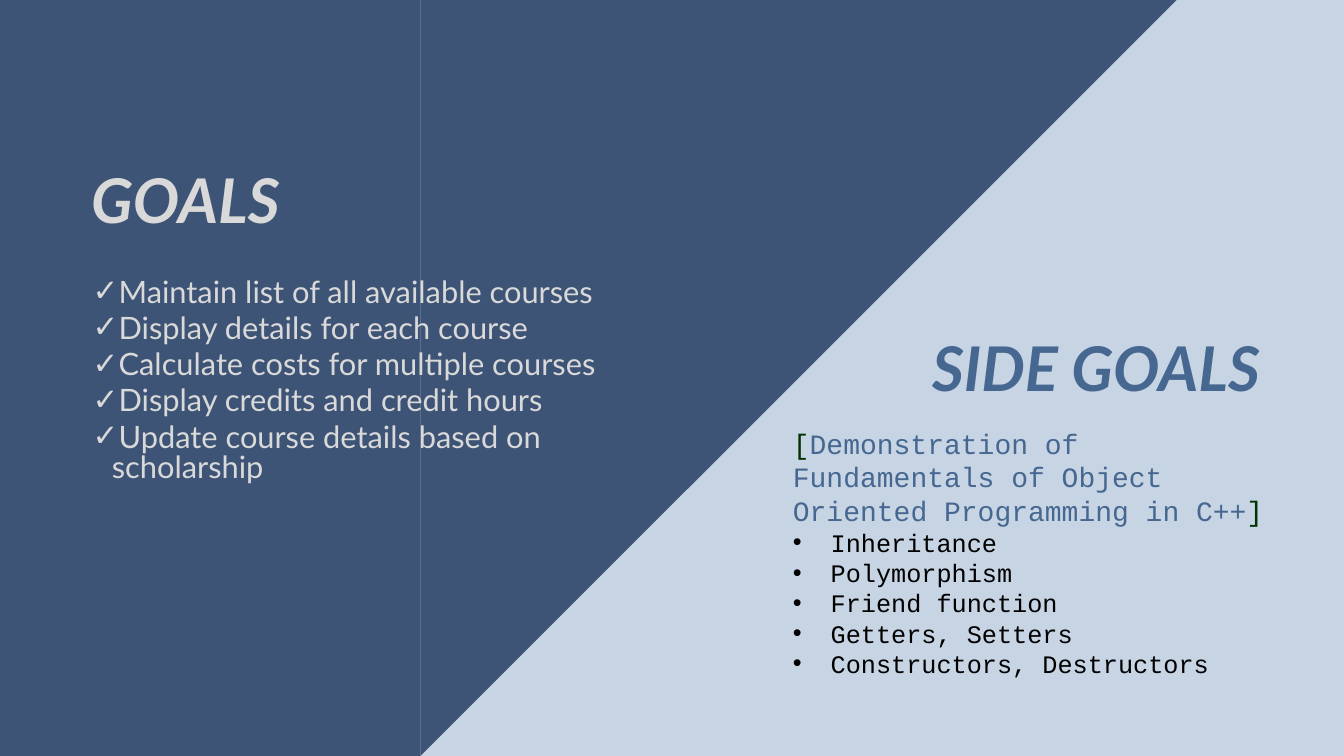
"""Build the goals and side goals slide."""
from dataclasses import dataclass

from lxml import etree
from pptx import Presentation, util as u
from pptx.dml.color import RGBColor
from pptx.enum import shapes, text
from pptx.oxml.ns import qn

PX = u.Inches(1) // 100
WIDTH, HEIGHT, SPLIT = 2666, 1500, 834


@dataclass(frozen=True)
class Theme:
    """Colours, fonts and type sizes."""
    pale: str = "C7D4E4"
    navy: str = "3D5476"
    blue: str = "456790"
    light: str = "D9D9D9"
    green: str = "003300"
    black: str = "000000"
    sans: str = "Lato"
    mono: str = "Courier New"
    title: int = 88
    goal: int = 44
    intro: int = 40
    topic: int = 36


THEME = Theme()
GOALS = (
    "Maintain list of all available courses",
    "Display details for each course",
    "Calculate costs for multiple courses",
    "Display credits and credit hours",
    "Update course details based on scholarship",
)
INTRO = (
    ("[", THEME.green),
    ("Demonstration of Fundamentals of Object Oriented Programming in C++", THEME.blue),
    ("]", THEME.green),
)
TOPICS = (
    "Inheritance",
    "Polymorphism",
    "Friend function",
    "Getters, Setters",
    "Constructors, Destructors",
)


def px(*lengths):
    """Turn px lengths into EMU."""
    return [u.Emu(n * PX) for n in lengths]


def add_block(parent, kind, box, color, rotation=0):
    """Add a plain filled shape."""
    sp = parent.add_shape(kind, *px(*box))
    sp.rotation = rotation
    sp.shadow.inherit = False
    sp.fill.solid()
    sp.fill.fore_color.rgb = RGBColor.from_string(color)
    sp.line.fill.background()


def add_text(slide, box, insets=(10, 5)):
    """Add an empty wrapping text box and return its frame."""
    tf = slide.shapes.add_textbox(*px(*box)).text_frame
    tf.word_wrap = True
    tf.auto_size = text.MSO_AUTO_SIZE.SHAPE_TO_FIT_TEXT
    tf.margin_left = tf.margin_right = insets[0] * PX
    tf.margin_top = tf.margin_bottom = insets[1] * PX
    return tf


def style(r, font, size, color, strong=False):
    """Format one run."""
    r.font.name = font
    r.font.size = u.Pt(size)
    r.font.color.rgb = RGBColor.from_string(color)
    r.font.bold = r.font.italic = strong


def add_title(slide, box, words, color, align):
    """Add a bold italic heading."""
    p = add_text(slide, box).paragraphs[0]
    p.text = words
    p.alignment = align
    style(p.runs[0], THEME.sans, THEME.title, color, strong=True)


def set_bullet(p, char, indent):
    """Give a paragraph a hanging bullet."""
    props = p._p.get_or_add_pPr()
    props.set("marL", str(indent * PX))
    props.set("indent", str(-indent * PX))
    etree.SubElement(props, qn("a:buFont")).set("typeface", "Arial")
    etree.SubElement(props, qn("a:buChar")).set("char", char)


def add_goals(slide, box):
    """Add the checked list of goals."""
    tf = add_text(slide, box, insets=(24, 12))
    for i, goal in enumerate(GOALS):
        p = tf.add_paragraph() if i else tf.paragraphs[0]
        p.text = goal
        p.line_spacing = u.Pt(43)
        p.space_before = u.Pt(THEME.goal * 0.2)
        set_bullet(p, "✓", 38)
        style(p.runs[0], THEME.sans, THEME.goal, THEME.light)


def add_side_goals(slide, box):
    """Add the bracketed intro and its topics."""
    tf = add_text(slide, box)
    for words, color in INTRO:
        r = tf.paragraphs[0].add_run()
        r.text = words
        style(r, THEME.mono, THEME.intro, color)
    for topic in TOPICS:
        p = tf.add_paragraph()
        p.text = topic
        set_bullet(p, "•", 75)
        style(p.runs[0], THEME.mono, THEME.topic, THEME.black)


def add_backdrop(slide):
    """Add the pale ground and the slanted navy panel."""
    kind = shapes.MSO_SHAPE
    add_block(slide.shapes, kind.RECTANGLE, (0, 0, WIDTH, HEIGHT), THEME.pale)
    panel = slide.shapes.add_group_shape().shapes
    add_block(panel, kind.RIGHT_TRIANGLE, (SPLIT, 0, HEIGHT, HEIGHT), THEME.navy, 90)
    add_block(panel, kind.RECTANGLE, (0, 0, SPLIT, HEIGHT), THEME.navy)


def main():
    """Build and save the slide."""
    prs = Presentation()
    prs.slide_width, prs.slide_height = px(WIDTH, HEIGHT)
    slide = prs.slides.add_slide(prs.slide_layouts[6])
    align = text.PP_ALIGN
    add_backdrop(slide)
    add_title(slide, (171, 317, 596, 158), "GOALS", THEME.light, align.LEFT)
    add_side_goals(slide, (1563, 841, 1018, 515))
    add_goals(slide, (160, 542, 1154, 445))
    add_title(slide, (1668, 649, 841, 158), "SIDE GOALS", THEME.blue, align.RIGHT)
    prs.save("out.pptx")


if __name__ == "__main__":
    main()
